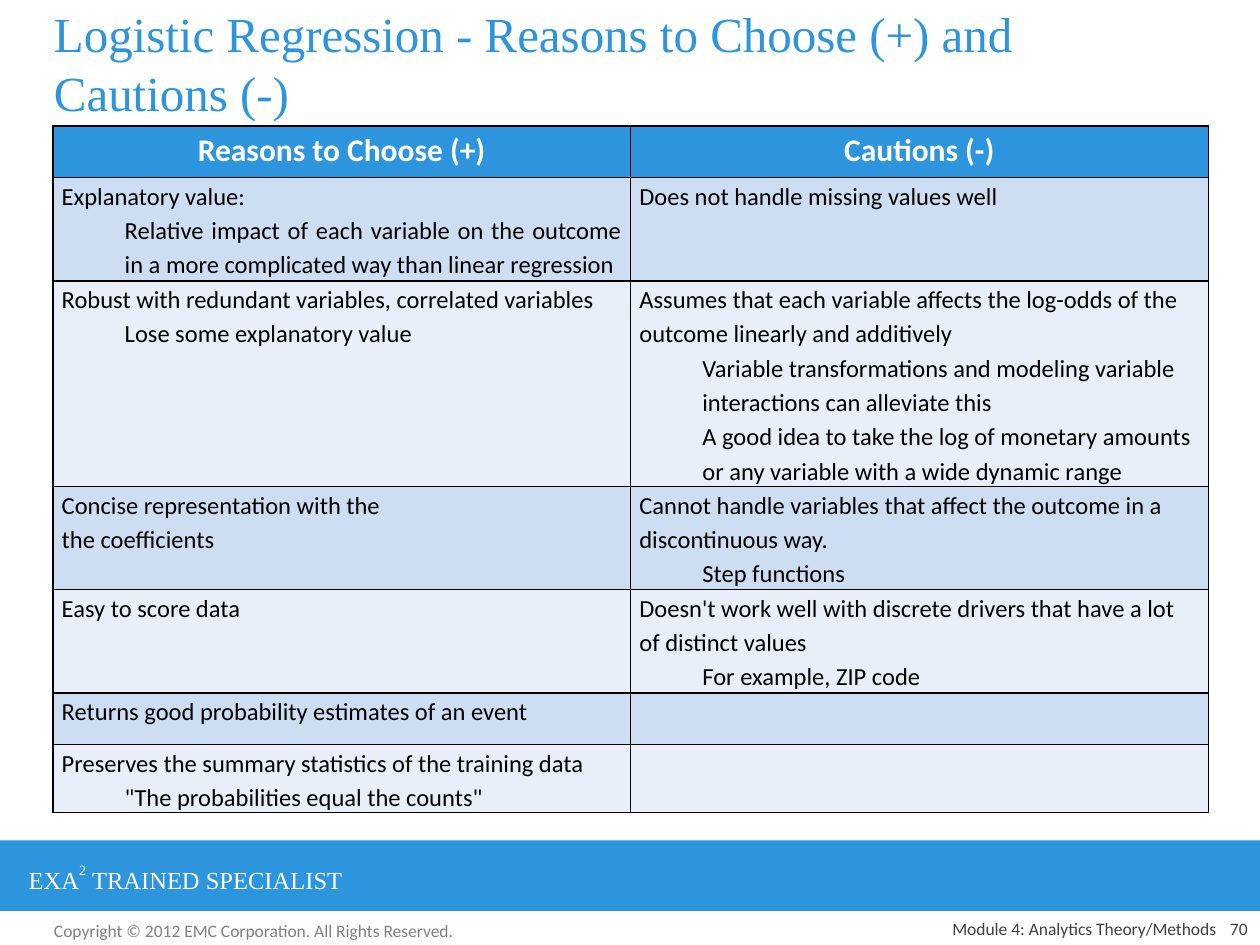
import pptx
import pptx.util
import pptx.dml.color
import pptx.enum.shapes
import pptx.enum.text
import pptx.oxml
from dataclasses import dataclass

# ---- Content: each line is an indent and its text ----
TITLE = "Logistic Regression - Reasons to Choose (+) and Cautions (-)"
HEADINGS = ("Reasons to Choose (+)", "Cautions (-)")
MAIN, SUB = 0, 0.5  # paragraph indents in inches
ROWS = [  # (height, reasons, cautions)
    (0.82,
     [(MAIN, "Explanatory value:"),
      (SUB, "Relative impact of each variable on the outcome in a more complicated way than linear regression")],
     [(MAIN, "Does not handle missing values well")]),
    (1.63,
     [(MAIN, "Robust with redundant variables, correlated variables"),
      (SUB, "Lose some explanatory value")],
     [(MAIN, "Assumes that each variable affects the log-odds of the outcome linearly and additively"),
      (SUB, "Variable transformations and modeling variable interactions can alleviate this"),
      (SUB, "A good idea to take the log of monetary amounts or any variable with a wide dynamic range")]),
    (0.82,
     [(MAIN, "Concise representation with the"), (MAIN, "the coefficients")],
     [(MAIN, "Cannot handle variables that affect the outcome in a discontinuous way."),
      (SUB, "Step functions")]),
    (0.82,
     [(MAIN, "Easy to score data")],
     [(MAIN, "Doesn't work well with discrete drivers that have a lot of distinct values"),
      (SUB, "For example, ZIP code")]),
    (0.41, [(MAIN, "Returns good probability estimates of an event")], []),
    (0.54,
     [(MAIN, "Preserves the summary statistics of the training data"),
      (SUB, '"The probabilities equal the counts"')], []),
]
HEADING_HEIGHT = 0.41
BRAND = [("EXA", None), ("2", "56000"), (" TRAINED SPECIALIST", None)]
COPYRIGHT = "Copyright © 2012 EMC Corporation. All Rights Reserved."
MODULE = "Module 4: Analytics Theory/Methods"
PAGE = "70"


@dataclass(frozen=True)
class Theme:
    blue: str = "2C95DD"
    bands: tuple = ("CDDDF2", "E8EFF9")
    white: str = "FFFFFF"
    black: str = "000000"
    grey: str = "808080"
    dark: str = "404040"
    sans: str = "Calibri"
    serif: str = "Times New Roman"
    title: int = 28
    heading: int = 18
    body: int = 14
    small: int = 10


THEME = Theme()
ALIGN = pptx.enum.text.PP_ALIGN
ANCHOR = pptx.enum.text.MSO_ANCHOR
INCH = pptx.util.Inches


def rgb(value):
    return pptx.dml.color.RGBColor.from_string(value)


def add_run(paragraph, text, face, size, color, bold=False):
    run = paragraph.add_run()
    run.text = text
    formats = {"name": face, "size": pptx.util.Pt(size), "bold": bold}
    for key, value in formats.items():
        setattr(run.font, key, value)
    run.font.color.rgb = rgb(color)
    return run


def add_label(slide, box, runs, face, size, color, align=ALIGN.LEFT, anchor=ANCHOR.TOP):
    frame = slide.shapes.add_textbox(*map(INCH, box)).text_frame
    frame.word_wrap = True
    frame.vertical_anchor = anchor
    paragraph = frame.paragraphs[0]
    paragraph.alignment = align
    for text, baseline in runs:
        run = add_run(paragraph, text, face, size, color)
        if baseline:
            run.font._element.set("baseline", baseline)


def border_cell(cell):
    properties = cell._tc.get_or_add_tcPr()
    for position, side in enumerate(("lnL", "lnR", "lnT", "lnB")):
        line = pptx.oxml.parse_xml(
            f'<a:{side} xmlns:a="http://schemas.openxmlformats.org/drawingml/2006/main" w="12700">'
            f'<a:solidFill><a:srgbClr val="{THEME.black}"/></a:solidFill></a:{side}>')
        properties.insert(position, line)


def fill_cell(cell, lines, fill, align, size, color, bold=False):
    margins = {"margin_left": 0.07, "margin_right": 0.07, "margin_top": 0, "margin_bottom": 0}
    for key, value in margins.items():
        setattr(cell, key, INCH(value))
    cell.fill.solid()
    cell.fill.fore_color.rgb = rgb(fill)
    border_cell(cell)
    frame = cell.text_frame
    for number, (indent, text) in enumerate(lines):
        paragraph = frame.add_paragraph() if number else frame.paragraphs[0]
        paragraph.alignment = align
        paragraph.line_spacing = 1.15
        if indent:
            properties = paragraph._p.get_or_add_pPr()
            properties.set("marL", str(INCH(indent)))
            properties.set("indent", "0")
        add_run(paragraph, text, THEME.sans, size, color, bold)


def add_comparison(slide):
    heights = [HEADING_HEIGHT] + [row[0] for row in ROWS]
    table = slide.shapes.add_table(
        len(heights), len(HEADINGS), INCH(0.42), INCH(1), INCH(9.17), INCH(sum(heights))).table
    for row, height in zip(table.rows, heights):
        row.height = INCH(height)
    for column, heading in enumerate(HEADINGS):
        fill_cell(table.cell(0, column), [(MAIN, heading)], THEME.blue,
                  ALIGN.CENTER, THEME.heading, THEME.white, True)
    for index, (_, *sides) in enumerate(ROWS):
        for column, (lines, align) in enumerate(zip(sides, (ALIGN.JUSTIFY, ALIGN.LEFT))):
            fill_cell(table.cell(index + 1, column), lines, THEME.bands[index % 2],
                      align, THEME.body, THEME.black)


def main():
    deck = pptx.Presentation()
    deck.slide_width, deck.slide_height = INCH(10), INCH(7.5)
    slide = deck.slides.add_slide(deck.slide_layouts[6])

    # Footer band and brand line
    band = slide.shapes.add_shape(pptx.enum.shapes.MSO_SHAPE.RECTANGLE,
                                  0, INCH(6.67), deck.slide_width, INCH(0.56))
    band.shadow.inherit = False
    band.fill.solid()
    band.fill.fore_color.rgb = rgb(THEME.blue)
    band.line.fill.background()
    add_label(slide, (0.13, 6.79, 3.7, 0.34), BRAND, THEME.serif, THEME.body, THEME.white)

    # Comparison table and title
    add_comparison(slide)
    add_label(slide, (0.33, 0.08, 9.25, 0.83), [(TITLE, None)], THEME.serif,
              THEME.title, THEME.blue, anchor=ANCHOR.MIDDLE)

    # Footer text
    add_label(slide, (0.33, 7.25, 3.42, 0.27), [(COPYRIGHT, None)], THEME.sans,
              THEME.small, THEME.grey)
    for text, left, width in ((MODULE, 5.17, 4.58), (PAGE, 9.5, 0.5)):
        add_label(slide, (left, 7.25, width, 0.25), [(text, None)], THEME.sans,
                  THEME.small, THEME.dark, ALIGN.RIGHT, ANCHOR.BOTTOM)

    deck.save("out.pptx")


if __name__ == "__main__":
    main()
